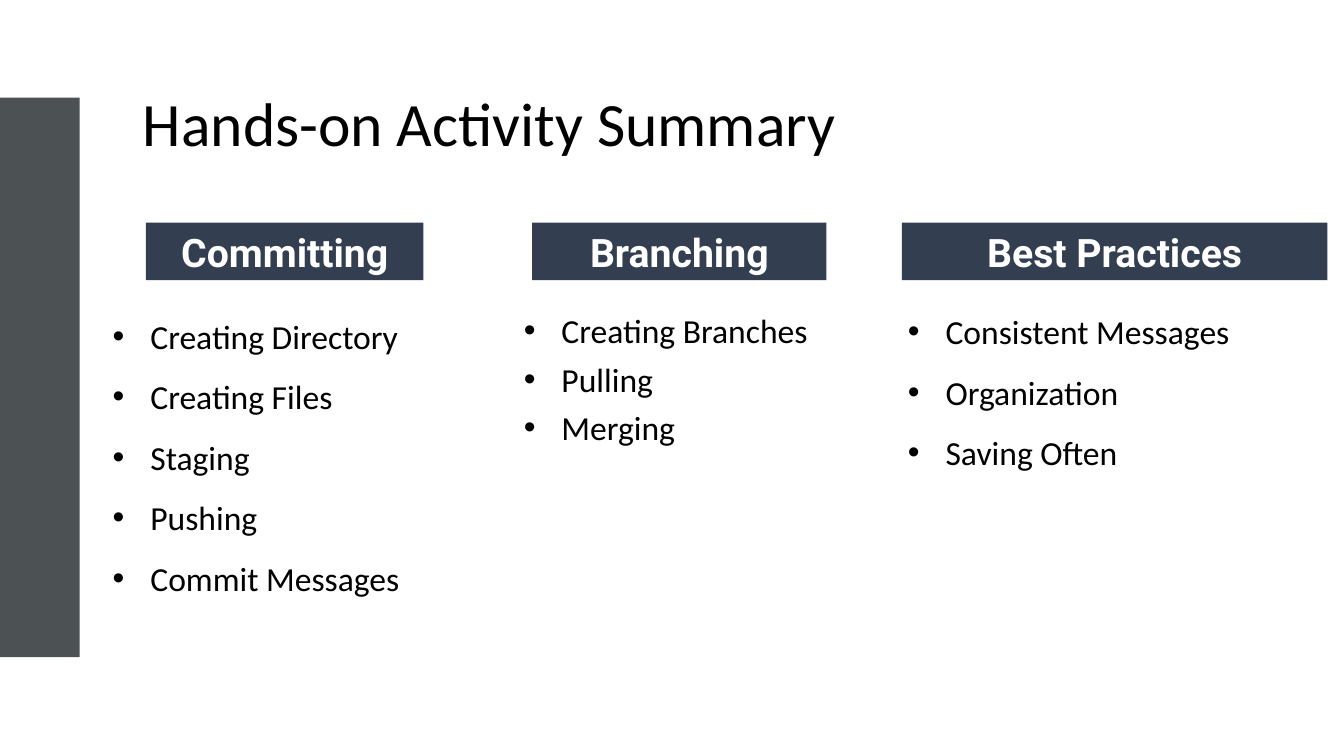
from lxml import etree
from pptx import Presentation
from pptx.dml.color import RGBColor
from pptx.enum.shapes import MSO_SHAPE
from pptx.enum.text import MSO_ANCHOR, PP_ALIGN
from pptx.oxml.ns import qn
from pptx.util import Cm, Pt

RECT = MSO_SHAPE.RECTANGLE
MIDDLE = MSO_ANCHOR.MIDDLE
CENTER = PP_ALIGN.CENTER
BLACK = RGBColor(0, 0, 0)
WHITE = RGBColor(255, 255, 255)
GREY = RGBColor(0x4C, 0x52, 0x54)
NAVY = RGBColor(0x33, 0x3F, 0x50)

HEAD_TOP, HEAD_HIGH = 5.61, 1.45
INDENT = Cm(0.95)

# Heading, its left and width, box of the list, line spacing, items
COLUMNS = [
    ("Committing", 3.68, 6.99, (2.59, 7.32, 10.72, 7.8), 1.5,
     ["Creating Directory", "Creating Files", "Staging", "Pushing",
      "Commit Messages"]),
    ("Branching", 13.41, 7.42, (12.95, 7.49, 8.33, 5.11), 1.2,
     ["Creating Branches", "Pulling", "Merging"]),
    ("Best Practices", 22.73, 10.72, (22.63, 7.21, 9.91, 6.25), 1.5,
     ["Consistent Messages", "Organization", "Saving Often"]),
]


def add_run(para, text, size, face, color, bold=False):
    run = para.add_run()
    run.text = text
    font = run.font
    font.size, font.name, font.bold = Pt(size), face, bold
    font.color.rgb = color


def add_bar(slide, box, color):
    bar = slide.shapes.add_shape(RECT, *map(Cm, box))
    bar.shadow.inherit = False
    bar.fill.solid()
    bar.fill.fore_color.rgb = color
    bar.line.fill.background()
    return bar


def add_text(slide, box):
    frame = slide.shapes.add_textbox(*map(Cm, box)).text_frame
    frame.word_wrap = True
    return frame


def add_bullet(para):
    props = para._p.get_or_add_pPr()
    props.set("marL", str(INDENT))
    props.set("indent", str(-INDENT))
    etree.SubElement(props, qn("a:buFont")).set("typeface", "Arial")
    etree.SubElement(props, qn("a:buChar")).set("char", "•")


def add_title(slide, box, text):
    frame = add_text(slide, box)
    frame.vertical_anchor = MIDDLE
    para = frame.paragraphs[0]
    para.line_spacing = 0.9
    add_run(para, text, 44, "Calibri", BLACK)


def add_head(slide, box, text):
    frame = add_bar(slide, box, NAVY).text_frame
    frame.word_wrap = True
    frame.vertical_anchor = MIDDLE
    para = frame.paragraphs[0]
    para.alignment = CENTER
    add_run(para, text, 28, "Roboto", WHITE, bold=True)


def add_list(slide, box, items, spacing):
    frame = add_text(slide, box)
    for i, item in enumerate(items):
        para = frame.add_paragraph() if i else frame.paragraphs[0]
        add_bullet(para)
        para.line_spacing = spacing
        add_run(para, item, 24, "Calibri", BLACK)


def main():
    deck = Presentation()
    deck.slide_width, deck.slide_height = Cm(33.87), Cm(19.05)
    slide = deck.slides.add_slide(deck.slide_layouts[6])
    add_bar(slide, (0, 2.46, 2.01, 14.1), GREY)
    add_title(slide, (3.35, 1.35, 24.41, 3.68), "Hands-on Activity Summary")
    for head, left, width, box, spacing, items in COLUMNS:
        add_head(slide, (left, HEAD_TOP, width, HEAD_HIGH), head)
        add_list(slide, box, items, spacing)
    deck.save("out.pptx")


if __name__ == "__main__":
    main()
